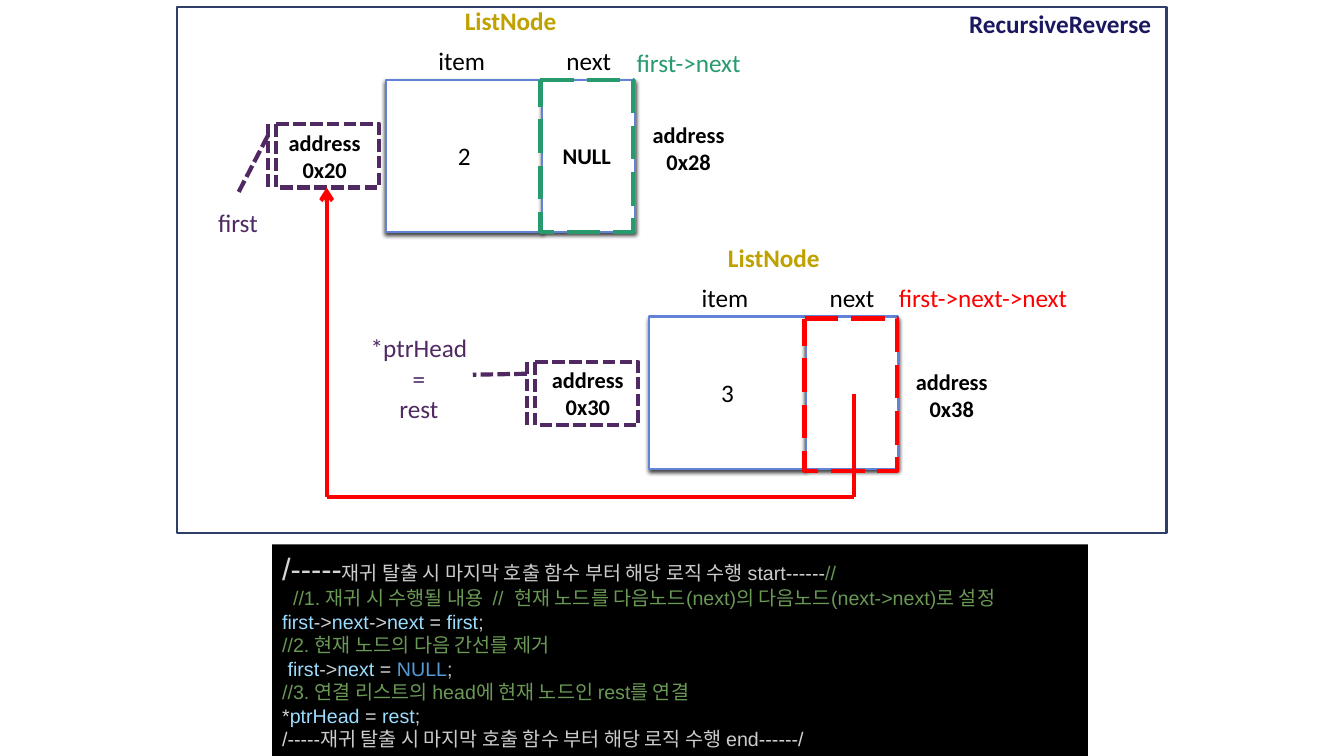
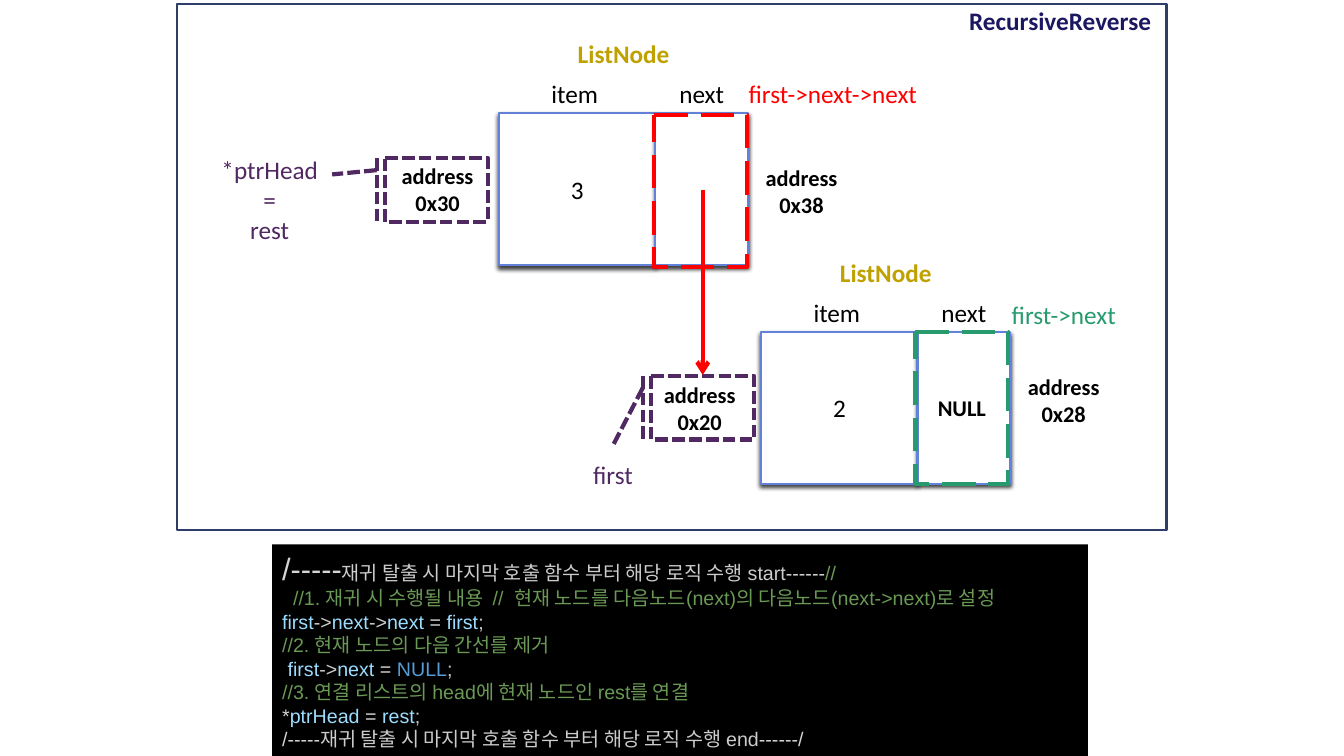
from lxml import etree
from pptx import Presentation
from pptx.dml.color import RGBColor
from pptx.enum import dml, shapes, text
from pptx.oxml import ns
from pptx.util import Inches, Pt

COLORS = {
    "white": "FFFFFF", "black": "000000", "frame": "2E3E67", "title": "1B1760",
    "box": "6182D6", "heading": "BFA100", "pointer": "502962",
    "red": "FF0000", "green": "289B6E",
    "symbol": "D4D4D4", "plain": "CCCCCC", "comment": "6A9955",
    "variable": "9CDCFE", "constant": "569CD6",
}
RGB = {name: RGBColor.from_string(value) for name, value in COLORS.items()}
SHAPE = shapes.MSO_SHAPE
DASH = dml.MSO_LINE

CELL_HEIGHT, ITEM_WIDTH, NEXT_WIDTH = 1.51, 1.55, 0.92
NODE_WIDTH = ITEM_WIDTH + NEXT_WIDTH

NODE_KINDS = {
    "2": {
        "address": "0x20", "next_address": "0x28", "next_address_top": 0.36,
        "callout": (-1.09, 0.44), "owner_width": 1.2,
        "label": "first->next", "label_at": (2.32, -0.37, 1.36, 0.39),
        "highlight": (1.53, 0), "color": "green",
    },
    "3": {
        "address": "0x30", "next_address": "0x38", "next_address_top": 0.46,
        "callout": (-1.13, 0.45), "owner_width": 1.21,
        "label": "first->next->next", "label_at": (2.19, -0.39, 2.24, 0.4),
        "highlight": (1.54, 0.02), "color": "red",
    },
}

FIRST = {"item": "2", "owner": ["first"], "owner_at": (-2.07, 1.22), "tip": (1.125, -0.383)}
REST = {"item": "3", "owner": ["*ptrHead", "=", "rest"]}

SLIDES = [
    {
        "top": 0.07,
        "nodes": [
            {**FIRST, "at": (3.83, 0.79)},
            {**REST, "at": (6.44, 3.14), "owner_at": (-2.89, 0.11), "tip": (0.203, -0.609)},
        ],
        "lines": [
            (8.47, 3.91, 8.47, 4.93, False),
            (8.47, 4.93, 3.24, 4.93, False),
            (3.24, 4.93, 3.24, 1.86, True),
        ],
    },
    {
        "top": 0.04,
        "nodes": [
            {**REST, "at": (4.95, 1.12), "owner_at": (-2.88, 0.36), "tip": (0.255, -0.516)},
            {**FIRST, "at": (7.55, 3.29)},
        ],
        "lines": [(6.97, 1.89, 6.97, 3.72, True)],
    },
]

CODE = [
    [("symbol", "/-----"), ("plain", "재귀 탈출 시 마지막 호출 함수 부터 해당 로직 수행 start"),
     ("symbol", "------"), ("comment", "//")],
    [("plain", "  "),
     ("comment", "//1. 재귀 시 수행될 내용  //  현재 노드를 다음노드(next)의 다음노드(next->next)로 설정")],
    [("variable", "first"), ("plain", "->"), ("variable", "next"), ("plain", "->"),
     ("variable", "next "), ("symbol", "= "), ("variable", "first"), ("plain", ";")],
    [("comment", "//2. 현재 노드의 다음 간선를 제거")],
    [("plain", " "), ("variable", "first"), ("plain", "->"), ("variable", "next "),
     ("symbol", "= "), ("constant", "NULL"), ("plain", ";")],
    [("comment", "//3. 연결 리스트의 head에 현재 노드인 rest를 연결")],
    [("symbol", "*"), ("variable", "ptrHead "), ("symbol", "= "),
     ("variable", "rest"), ("plain", ";")],
    [("symbol", "/-----"), ("plain", "재귀 탈출 시 마지막 호출 함수 부터 해당 로직 수행 end"),
     ("symbol", "------/")],
]


def add_box(parent, kind, at, fill=None, line=None, width=1.5, dash=None):
    shape = parent.shapes.add_shape(kind, *map(Inches, at))
    shape.shadow.inherit = False
    if fill:
        shape.fill.solid()
        shape.fill.fore_color.rgb = RGB[fill]
    else:
        shape.fill.background()
    if line:
        shape.line.color.rgb = RGB[line]
        shape.line.width = Pt(width)
        if dash:
            shape.line.dash_style = dash
    else:
        shape.line.fill.background()
    return shape


def add_text(parent, at, lines, color="black", size=18, bold=False, shape=None):
    shape = shape or parent.shapes.add_textbox(*map(Inches, at))
    shape.text_frame.word_wrap = True
    shape.text_frame.text = "\n".join(lines)
    for paragraph in shape.text_frame.paragraphs:
        paragraph.alignment = text.PP_ALIGN.CENTER
        for run in paragraph.runs:
            run.font.name = "Calibri"
            run.font.size = Pt(size)
            run.font.bold = bold
            run.font.color.rgb = RGB[color]


presentation = Presentation()
presentation.slide_width = Inches(13.33)
presentation.slide_height = Inches(7.5)

for content in SLIDES:
    slide = presentation.slides.add_slide(presentation.slide_layouts[6])
    top = content["top"]
    add_box(slide, SHAPE.RECTANGLE, (1.76, top, 9.81, 5.22), "white", "frame")
    add_text(slide, (9.28, top - 0.04, 2.47, 0.41), ["RecursiveReverse"], "title", bold=True)

    for node in content["nodes"]:
        kind = NODE_KINDS[node["item"]]
        x, y = node["at"]
        group = slide.shapes.add_group_shape()
        cells = []
        for left, width in [(x, ITEM_WIDTH), (x + ITEM_WIDTH, NEXT_WIDTH)]:
            cell = add_box(group, SHAPE.FLOWCHART_PROCESS, (left, y, width, CELL_HEIGHT),
                           "white", "box")
            effects = cell._element.spPr.find(ns.qn("a:effectLst"))
            shadow = etree.SubElement(effects, ns.qn("a:outerShdw"), blurRad=str(Pt(3)),
                                      dist=str(Pt(2)), dir="5400000", rotWithShape="0")
            shadow_color = etree.SubElement(shadow, ns.qn("a:srgbClr"), val=COLORS["black"])
            etree.SubElement(shadow_color, ns.qn("a:alpha"), val="75000")
            cells.append(cell)
        add_text(group, None, [node["item"]], shape=cells[0])
        add_text(group, (x - 1.07, y + 0.44, 0.92, 0.63), ["address", kind["address"]],
                 size=16, bold=True)
        add_text(group, (x + ITEM_WIDTH, y - 0.39, NEXT_WIDTH, 0.4), ["next"])
        add_text(group, (x + 0.4, y - 0.39, 0.7, 0.4), ["item"])
        add_text(group, (x, y - 0.79, NODE_WIDTH, 0.4), ["ListNode"], "heading", bold=True)

        add_text(slide, (x + NODE_WIDTH, y + kind["next_address_top"], 1.06, 0.63),
                 ["address", kind["next_address"]], size=16, bold=True)
        dx, dy = kind["callout"]
        callout = add_box(slide, SHAPE.LINE_CALLOUT_1_BORDER_AND_ACCENT_BAR,
                          (x + dx, y + dy, 1.02, 0.63), None, "pointer", 3, DASH.SQUARE_DOT)
        for index, value in enumerate((0.188, -0.083, *node["tip"])):
            callout.adjustments[index] = value
        dx, dy = node["owner_at"]
        add_text(slide, (x + dx, y + dy, kind["owner_width"], 0.33 * len(node["owner"])),
                 node["owner"], "pointer")
        dx, dy, width, height = kind["label_at"]
        add_text(slide, (x + dx, y + dy, width, height), [kind["label"]], kind["color"])
        dx, dy = kind["highlight"]
        add_box(slide, SHAPE.FLOWCHART_PROCESS, (x + dx, y + dy, NEXT_WIDTH, CELL_HEIGHT),
                None, kind["color"], 3, DASH.LONG_DASH)
        if node["item"] == "2":
            add_text(slide, (x + dx, y + 0.57, NEXT_WIDTH, 0.37), ["NULL"], size=16, bold=True)

    for *ends, has_arrow in content["lines"]:
        connector = slide.shapes.add_connector(shapes.MSO_CONNECTOR.STRAIGHT, *map(Inches, ends))
        connector.line.color.rgb = RGB["red"]
        connector.line.width = Pt(3)
        if has_arrow:
            etree.SubElement(connector.line._get_or_add_ln(), ns.qn("a:tailEnd"), type="arrow")
        etree.SubElement(connector._element.spPr, ns.qn("a:effectLst"))

    code_panel = add_box(slide, SHAPE.RECTANGLE, (2.7, 5.4, 8.09, 2.1), "black")
    frame = code_panel.text_frame
    frame.word_wrap = True
    frame.vertical_anchor = text.MSO_ANCHOR.TOP
    for number, pieces in enumerate(CODE):
        paragraph = frame.add_paragraph() if number else frame.paragraphs[0]
        paragraph.alignment = text.PP_ALIGN.LEFT
        for color, words in pieces:
            run = paragraph.add_run()
            run.text = words
            run.font.name = "Arial"
            run.font.size = Pt(14)
            run.font.color.rgb = RGB[color]
    frame.paragraphs[0].runs[0].font.size = Pt(22)

presentation.save("out.pptx")
